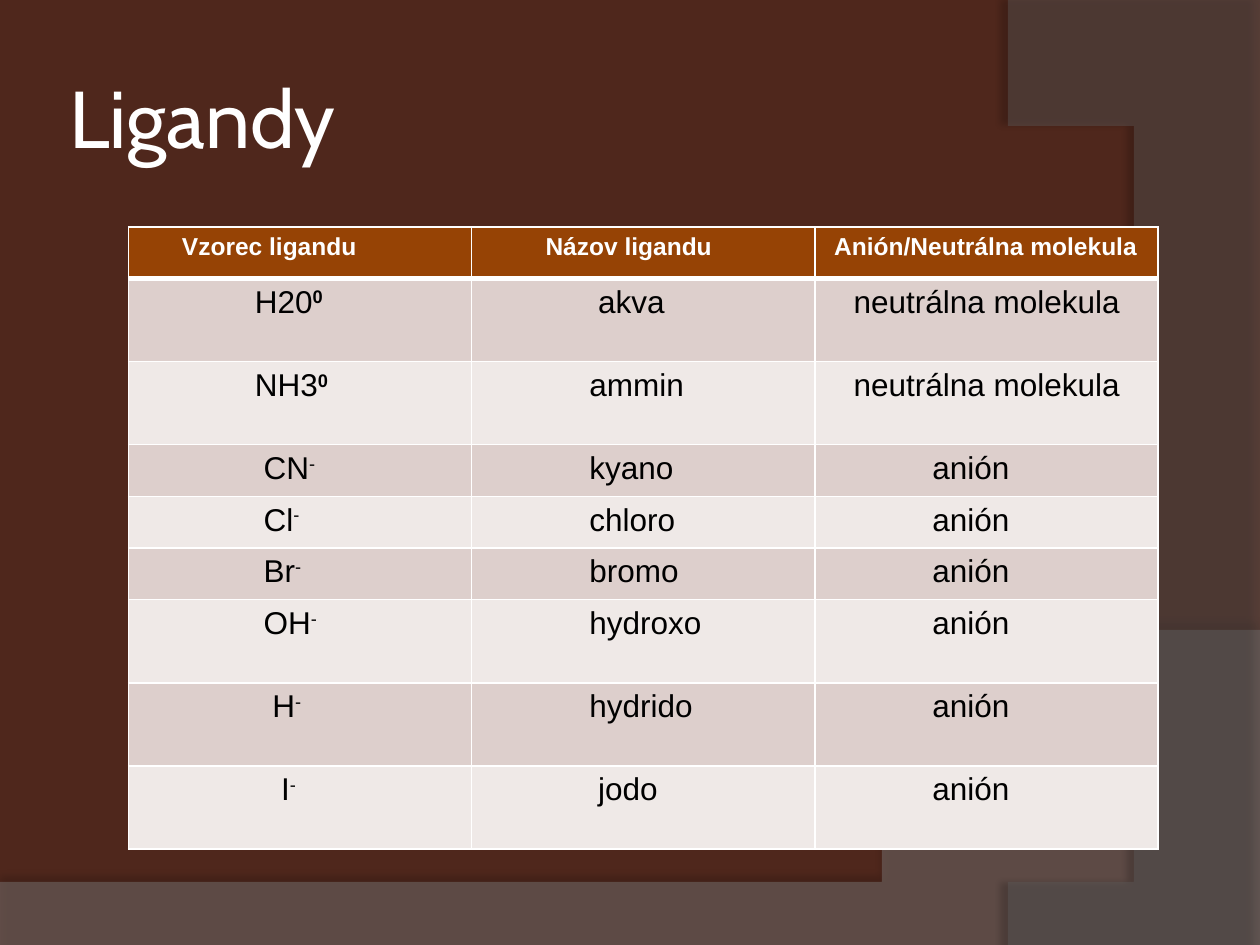
from dataclasses import dataclass

from lxml import etree
from pptx import Presentation
from pptx.dml.color import RGBColor
from pptx.enum.text import MSO_ANCHOR, PP_ALIGN
from pptx.oxml.ns import qn
from pptx.util import Inches, Pt

MIDDLE, LEFT = MSO_ANCHOR.MIDDLE, PP_ALIGN.LEFT
WIDTH, HEIGHT = 10, 7.5


@dataclass(frozen=True)
class Theme:
    background: str = "4F271C"
    white: str = "FFFFFF"
    black: str = "000000"
    header: str = "964305"
    bands: tuple = ("DDCFCC", "EFE9E7")
    title_font: str = "Cabin"
    table_font: str = "Arial"
    title_size: int = 46
    header_size: int = 14
    body_size: int = 18


@dataclass(frozen=True)
class Wave:
    """A translucent area: straight points before a Bezier curve, whose last point is on the edge."""
    lead: tuple
    curve: tuple
    color: str
    alpha: int
    shadow_alpha: int
    shadow_distance: float
    shadow_angle: int


@dataclass(frozen=True)
class Ligand:
    formula: str
    charge: str
    name: str
    kind: str
    indents: tuple  # text offset in each column, in space widths
    height: float


THEME = Theme()
ANION, NEUTRAL = "anión", "neutrálna molekula"
LOW, HIGH = 0.41, 0.66
HEADERS = (("Vzorec ligandu", 6), ("Názov ligandu", 9), ("Anión/Neutrálna molekula", 1))
LIGANDS = (
    Ligand("H20", "0", "akva", NEUTRAL, (13, 13, 3), HIGH),
    Ligand("NH3", "0", "ammin", NEUTRAL, (13, 12, 3), HIGH),
    Ligand("CN", "-", "kyano", ANION, (14, 12, 12), LOW),
    Ligand("Cl", "-", "chloro", ANION, (14, 12, 12), LOW),
    Ligand("Br", "-", "bromo", ANION, (14, 12, 12), LOW),
    Ligand("OH", "-", "hydroxo", ANION, (14, 12, 12), HIGH),
    Ligand("H", "-", "hydrido", ANION, (15, 12, 12), HIGH),
    Ligand("I", "-", "jodo", ANION, (16, 13, 12), HIGH),
)
WAVES = (
    Wave(((0, 7.05), (0, 7.51), (10, 7.51)),
         ((10, 5.2), (5.59, 7.29), (3.91, 7.19), (0, 7.05)), "7F7F7F", 45, 35, 3.5, 270),
    Wave(((10, 0.02), (10, 7.5)),
         ((8.21, 7.5), (9.35, 6.19), (10.18, 3), (8, 0)), "5E5E5E", 40, 45, 4, 180),
)


def rgb(color: str) -> RGBColor:
    return RGBColor.from_string(color)


def child(parent, tag: str, **attrs):
    return etree.SubElement(parent, qn(tag), {k: str(v) for k, v in attrs.items()})


def bezier(points: tuple, steps: int = 40) -> list:
    a, b, c, d = points
    curve = []
    for i in range(steps + 1):
        t = i / steps
        u = 1 - t
        curve.append(tuple(u**3 * a[k] + 3 * u * u * t * b[k] + 3 * u * t * t * c[k] + t**3 * d[k]
                           for k in (0, 1)))
    return curve


def add_wave(s, wave: Wave) -> None:
    start, *rest = wave.lead
    builder = s.shapes.build_freeform(*start, scale=Inches(1))
    builder.add_line_segments(rest + bezier(wave.curve), close=True)
    sp = builder.convert_to_shape()
    sp.fill.solid()
    sp.fill.fore_color.rgb = rgb(wave.color)
    sp.line.fill.background()
    sp.shadow.inherit = False
    props = sp.fill._xPr
    child(props.find(qn("a:solidFill"))[0], "a:alpha", val=wave.alpha * 1000)
    shadow = child(props.find(qn("a:effectLst")), "a:outerShdw", blurRad=Pt(4),
                   dist=Pt(wave.shadow_distance), dir=wave.shadow_angle * 60000,
                   algn="ctr", rotWithShape=0)
    color = child(shadow, "a:srgbClr", val=THEME.black)
    child(color, "a:alpha", val=wave.shadow_alpha * 1000)


def add_run(p, text: str, font: str, size: int, color: str, bold: bool = False):
    r = p.add_run()
    r.text = text
    r.font.name, r.font.size, r.font.bold = font, Pt(size), bold
    r.font.color.rgb = rgb(color)
    return r


def add_title(s, text: str) -> None:
    title = s.shapes.title
    title.left, title.top = Inches(0.05 * WIDTH), Inches(0.04 * HEIGHT)
    title.width, title.height = Inches(8.17), Inches(1.25)
    tf = title.text_frame
    tf.vertical_anchor = MIDDLE
    tf.margin_left = tf.margin_right = tf.margin_top = tf.margin_bottom = Inches(0.05)
    p = tf.paragraphs[0]
    p.alignment = LEFT
    add_run(p, text, THEME.title_font, THEME.title_size, THEME.white)


def format_cell(cell, fill: str, indent: int, size: int, top: float, bottom: float):
    """Set borders, fill and indent; return the paragraph to write in."""
    props = cell._tc.get_or_add_tcPr()
    for side, width in (("L", 1), ("R", 1), ("T", top), ("B", bottom)):
        line = child(props, f"a:ln{side}", w=Pt(width))
        child(child(line, "a:solidFill"), "a:srgbClr", val=THEME.white)
    cell.fill.solid()
    cell.fill.fore_color.rgb = rgb(fill)
    space = 0.278 * size / 72
    cell.margin_left = Inches(0.1 + indent * space)
    return cell.text_frame.paragraphs[0]


def add_ligand_table(s) -> None:
    heights = [LOW] + [ligand.height for ligand in LIGANDS]
    table = s.shapes.add_table(len(heights), len(HEADERS), Inches(1.02), Inches(1.8),
                               Inches(8.17), Inches(sum(heights))).table
    table.horz_banding = False
    for row, height in zip(table.rows, heights):
        row.height = Inches(height)
    for col, (text, indent) in enumerate(HEADERS):
        p = format_cell(table.cell(0, col), THEME.header, indent, THEME.header_size, 1, 3)
        add_run(p, text, THEME.table_font, THEME.header_size, THEME.white, True)
    for row, ligand in enumerate(LIGANDS, 1):
        fill = THEME.bands[(row - 1) % 2]
        for col, text in enumerate((ligand.formula, ligand.name, ligand.kind)):
            p = format_cell(table.cell(row, col), fill, ligand.indents[col],
                            THEME.body_size, 3 if row == 1 else 1, 1)
            add_run(p, text, THEME.table_font, THEME.body_size, THEME.black)
            if col == 0:
                r = add_run(p, ligand.charge, THEME.table_font, THEME.body_size,
                            THEME.black, ligand.charge == "0")
                r.font._element.set("baseline", "30000")


def main() -> None:
    prs = Presentation()
    prs.slide_width, prs.slide_height = Inches(WIDTH), Inches(HEIGHT)
    s = prs.slides.add_slide(prs.slide_layouts[5])
    s.background.fill.solid()
    s.background.fill.fore_color.rgb = rgb(THEME.background)
    for wave in WAVES:
        add_wave(s, wave)
    s.shapes._spTree.append(s.shapes.title._element)
    add_title(s, "Ligandy")
    add_ligand_table(s)
    prs.save("out.pptx")


if __name__ == "__main__":
    main()
